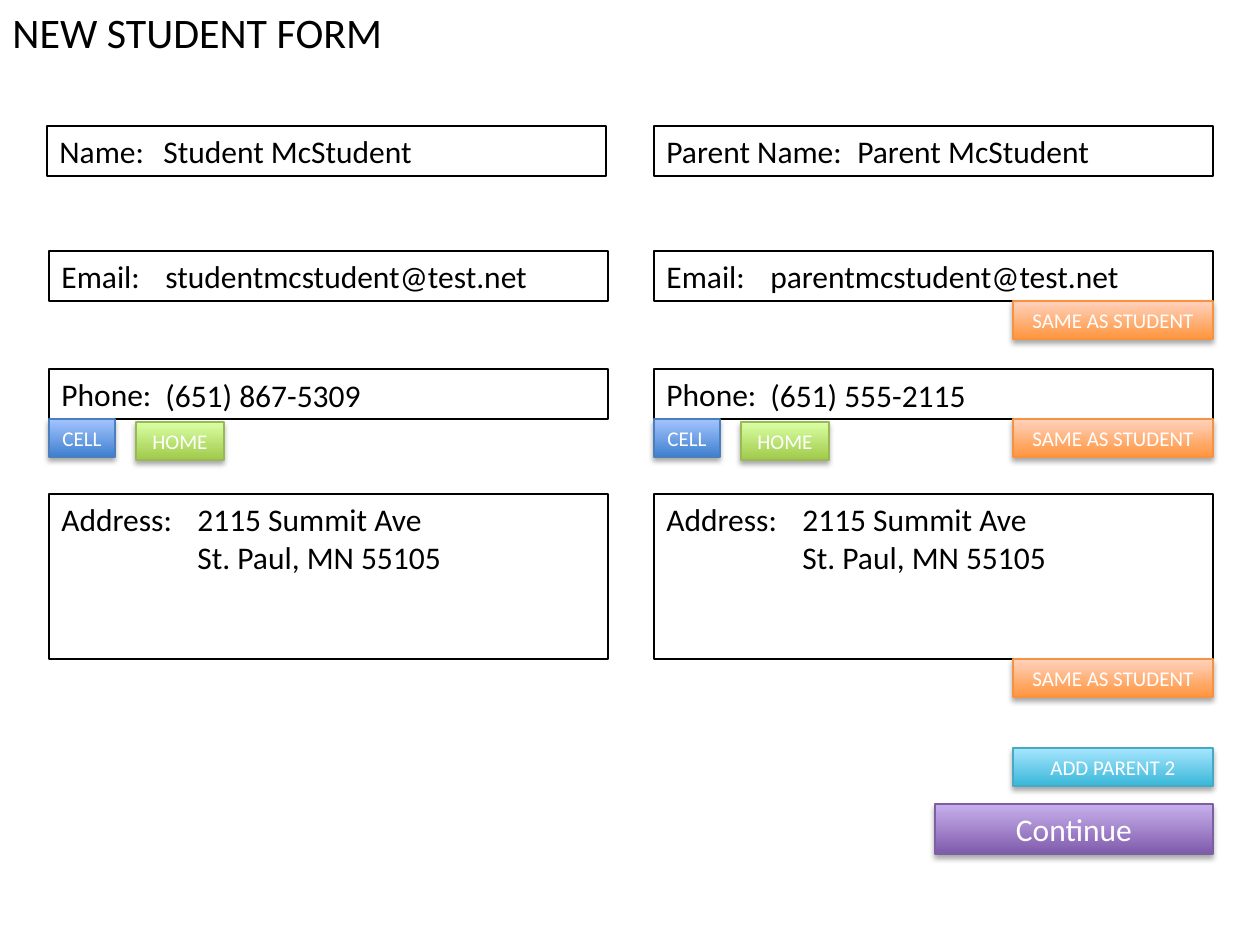
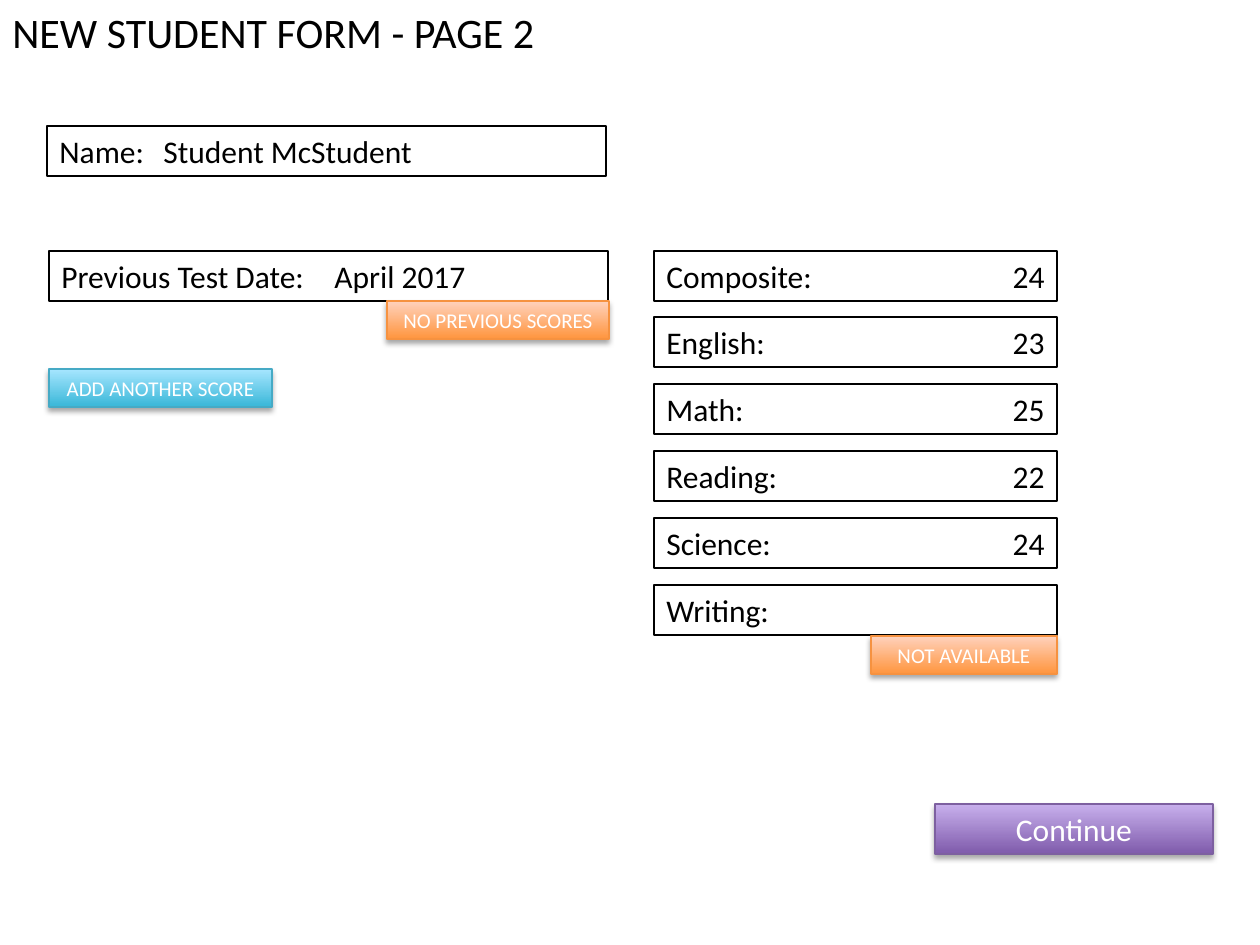
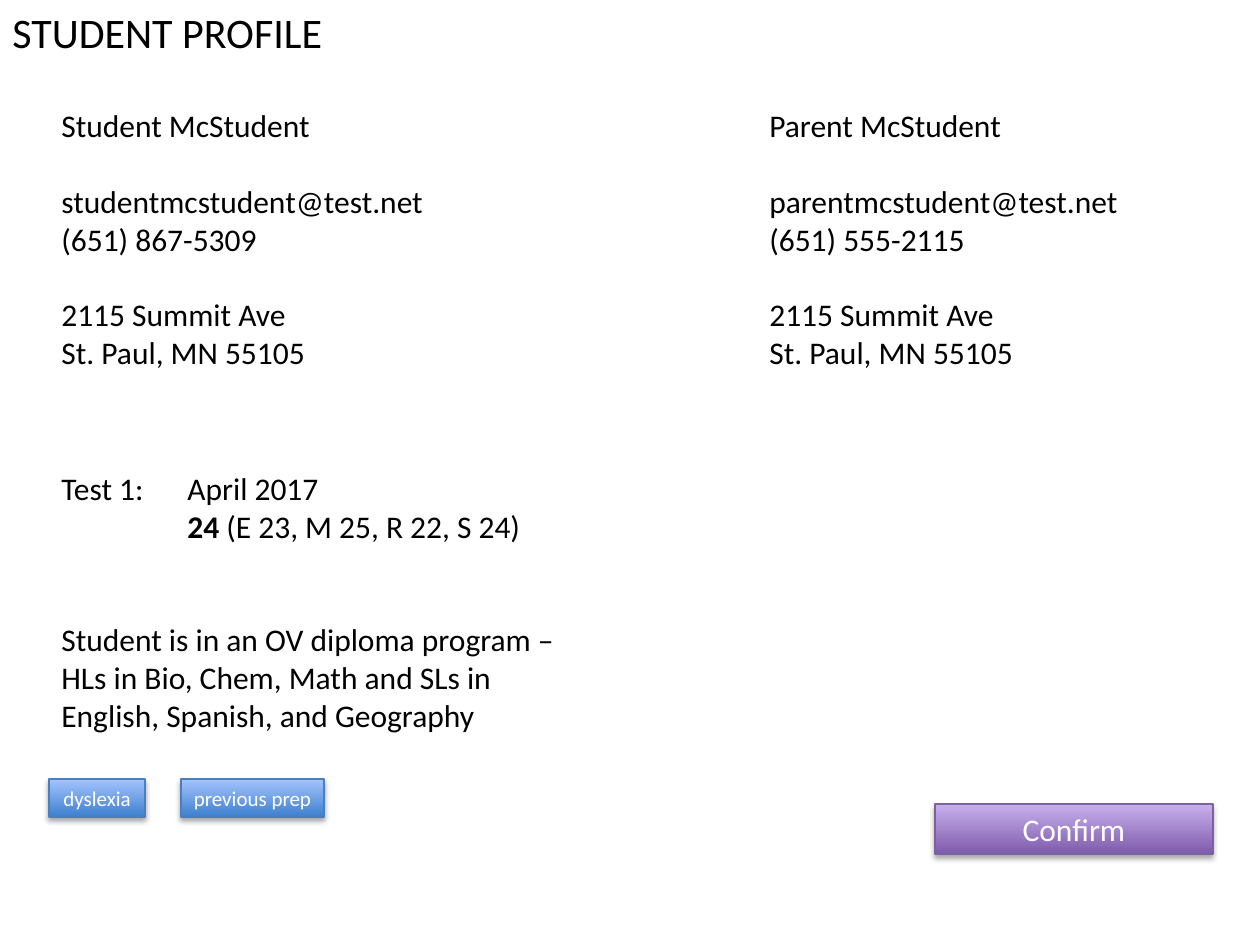
import pptx
import pptx.dml.color
import pptx.enum.shapes
import pptx.enum.text
import pptx.oxml
import pptx.oxml.ns
import pptx.util

RGBColor = pptx.dml.color.RGBColor
PP_ALIGN = pptx.enum.text.PP_ALIGN
RECTANGLE = pptx.enum.shapes.MSO_SHAPE.RECTANGLE

PX_PER_INCH = 126
FONT = "Calibri"
BLACK = RGBColor(0x00, 0x00, 0x00)
WHITE = RGBColor(0xFF, 0xFF, 0xFF)

BLUE = (RGBColor(0x3F, 0x80, 0xCE), RGBColor(0xA4, 0xC4, 0xFF), RGBColor(0x4B, 0x7E, 0xBC))
GREEN = (RGBColor(0xA0, 0xCA, 0x4A), RGBColor(0xDA, 0xFF, 0xA5), RGBColor(0x98, 0xB9, 0x55))
ORANGE = (RGBColor(0xFF, 0x95, 0x3E), RGBColor(0xFF, 0xD2, 0xBD), RGBColor(0xF6, 0x92, 0x40))
AQUA = (RGBColor(0x39, 0xB7, 0xD8), RGBColor(0xA7, 0xE6, 0xFF), RGBColor(0x46, 0xAA, 0xC5))
PURPLE = (RGBColor(0x7F, 0x5B, 0xAB), RGBColor(0xC8, 0xB0, 0xED), RGBColor(0x7D, 0x60, 0xA0))

STUDENT_X, PARENT_X = 49, 654
NAME_X, NAME_Y = 47, 126
EMAIL_Y, PHONE_Y, ADDRESS_Y = 251, 369, 494
FIELD_WIDTH, FIELD_HEIGHT, ADDRESS_HEIGHT = 559, 50, 165
VALUE_OFFSET = 104
BUTTON_HEIGHT = 38
RIGHT_EDGE = PARENT_X + FIELD_WIDTH

STUDENT = "Student McStudent"
PARENT = "Parent McStudent"
STUDENT_EMAIL = "studentmcstudent@test.net"
PARENT_EMAIL = "parentmcstudent@test.net"
STUDENT_PHONE = "(651) 867-5309"
PARENT_PHONE = "(651) 555-2115"
ADDRESS = "2115 Summit Ave\nSt. Paul, MN 55105"
TEST_DATE = "April 2017"
SCORES = [("Composite:", "24"), ("English:", "23"), ("Math:", "25"),
          ("Reading:", "22"), ("Science:", "24"), ("Writing:", "")]

SHADOW_XML = (
    f'<a:outerShdw {pptx.oxml.ns.nsdecls("a")} blurRad="39370" dist="22860" '
    'dir="5400000" rotWithShape="0"><a:srgbClr val="000000">'
    '<a:alpha val="35000"/></a:srgbClr></a:outerShdw>'
)


def px(length):
    return pptx.util.Emu(round(length * 914400 / PX_PER_INCH))


def box(x, y, width, height):
    return px(x), px(y), px(width), px(height)


def format_text(frame, size, color, align):
    frame.vertical_anchor = pptx.enum.text.MSO_ANCHOR.TOP
    for paragraph in frame.paragraphs:
        paragraph.alignment = align
        for run in paragraph.runs:
            run.font.name = FONT
            run.font.size = pptx.util.Pt(size)
            run.font.color.rgb = color


def add_text(slide, x, y, width, height, text, size=18, align=PP_ALIGN.LEFT):
    frame = slide.shapes.add_textbox(*box(x, y, width, height)).text_frame
    frame.word_wrap = True
    frame.text = text
    format_text(frame, size, BLACK, align)
    return frame


def add_rectangle(slide, x, y, width, height, line_color, text):
    rectangle = slide.shapes.add_shape(RECTANGLE, *box(x, y, width, height))
    rectangle.shadow.inherit = False
    rectangle.line.color.rgb = line_color
    rectangle.line.width = pptx.util.Pt(0.75)
    rectangle.text_frame.text = text
    return rectangle


def add_field(slide, x, y, label, value="", offset=VALUE_OFFSET, width=FIELD_WIDTH,
              height=FIELD_HEIGHT, value_drop=0, align=PP_ALIGN.LEFT):
    field = add_rectangle(slide, x, y, width, height, BLACK, label)
    field.fill.background()
    format_text(field.text_frame, 18, BLACK, PP_ALIGN.LEFT)
    if value:
        add_text(slide, x + offset, y + value_drop, width - offset, height, value, align=align)


def add_button(slide, x, y, width, text, palette, height=BUTTON_HEIGHT, size=12):
    bottom, top, outline = palette
    button = add_rectangle(slide, x, y, width, height, outline, text)
    button.fill.gradient()
    button.fill.gradient_angle = 90
    for stop, color in zip(button.fill.gradient_stops, (bottom, top)):
        stop.color.rgb = color
    effects = button._element.spPr.find(pptx.oxml.ns.qn("a:effectLst"))
    effects.append(pptx.oxml.parse_xml(SHADOW_XML))
    button.text_frame.word_wrap = False
    format_text(button.text_frame, size, WHITE, PP_ALIGN.CENTER)


def add_page(deck, title, title_width, next_step):
    slide = deck.slides.add_slide(deck.slide_layouts[6])
    add_text(slide, 0, 0, title_width, 63, title, size=24)
    add_button(slide, 935, 804, RIGHT_EDGE - 935, next_step, PURPLE, FIELD_HEIGHT, 18)
    return slide


def add_contact_fields(slide, x, email, phone):
    add_field(slide, x, EMAIL_Y, "Email:", email)
    add_field(slide, x, PHONE_Y, "Phone:", phone, value_drop=1)
    add_field(slide, x, ADDRESS_Y, "Address:", ADDRESS, 136, height=ADDRESS_HEIGHT)
    add_button(slide, x, PHONE_Y + FIELD_HEIGHT, 66, "CELL", BLUE)
    add_button(slide, x + 87, PHONE_Y + 53, 88, "HOME", GREEN)


def add_contact_summary(slide, x, name, email, phone):
    lines = f"{name}\n{email}\n{phone}\n{ADDRESS}"
    summary = add_text(slide, x, 100, 456, 280, lines)
    for group_start in (1, 3):
        summary.paragraphs[group_start].space_before = pptx.util.Pt(21.6)


def add_test_result(slide, x, y):
    result = add_text(slide, x, y, 641, 89, f"Test 1:\t{TEST_DATE}\n")
    date_line, score_line = result.paragraphs
    for text in ("24", " (E 23, M 25, R 22, S 24)"):
        score_line.add_run().text = text
    format_text(result, 18, BLACK, PP_ALIGN.LEFT)
    score_line.runs[0].font.bold = True
    for line, first_indent in ((date_line, -126), (score_line, 0)):
        properties = line._p.get_or_add_pPr()
        properties.set("marL", str(px(126)))
        properties.set("indent", str(px(first_indent)))


def build_contact_form(deck):
    slide = add_page(deck, "NEW STUDENT FORM", 421, "Continue")
    add_field(slide, NAME_X, NAME_Y, "Name:", STUDENT)
    add_field(slide, PARENT_X, NAME_Y, "Parent Name:", PARENT, 191)
    add_contact_fields(slide, STUDENT_X, STUDENT_EMAIL, STUDENT_PHONE)
    add_contact_fields(slide, PARENT_X, PARENT_EMAIL, PARENT_PHONE)
    side_width = 200
    side_x = RIGHT_EDGE - side_width
    for field_bottom in (EMAIL_Y + FIELD_HEIGHT, PHONE_Y + FIELD_HEIGHT,
                         ADDRESS_Y + ADDRESS_HEIGHT):
        add_button(slide, side_x, field_bottom, side_width, "SAME AS STUDENT", ORANGE)
    add_button(slide, side_x, 748, side_width, "ADD PARENT 2", AQUA)


def build_score_form(deck):
    slide = add_page(deck, "NEW STUDENT FORM - PAGE 2", 557, "Continue")
    add_field(slide, NAME_X, NAME_Y, "Name:", STUDENT)
    add_field(slide, STUDENT_X, EMAIL_Y, "Previous Test Date:", TEST_DATE, 273)
    add_button(slide, 387, EMAIL_Y + FIELD_HEIGHT, 222, "NO PREVIOUS SCORES", ORANGE)
    add_button(slide, STUDENT_X, PHONE_Y, 223, "ADD ANOTHER SCORE", AQUA)
    score_width, score_span = 403, 334
    for row, (subject, score) in enumerate(SCORES):
        y = EMAIL_Y + score_span * row // (len(SCORES) - 1)
        add_field(slide, PARENT_X, y, subject, score, 204, score_width, align=PP_ALIGN.RIGHT)
    add_button(slide, PARENT_X + score_width - 186, EMAIL_Y + score_span + FIELD_HEIGHT + 1,
               186, "NOT AVAILABLE", ORANGE)


def build_profile(deck):
    slide = add_page(deck, "STUDENT PROFILE", 570, "Confirm")
    add_contact_summary(slide, STUDENT_X, STUDENT, STUDENT_EMAIL, STUDENT_PHONE)
    add_contact_summary(slide, 757, PARENT, PARENT_EMAIL, PARENT_PHONE)
    add_test_result(slide, STUDENT_X, 463)
    add_text(slide, STUDENT_X, 614, 554, 165,
             "Student is in an OV diploma program – HLs in Bio, Chem, Math and SLs in "
             "English, Spanish, and Geography")
    add_button(slide, STUDENT_X, 779, 96, "dyslexia", BLUE)
    add_button(slide, 181, 779, 143, "previous prep", BLUE)


def main():
    deck = pptx.Presentation()
    deck.slide_width = px(10 * PX_PER_INCH)
    deck.slide_height = px(945)
    build_contact_form(deck)
    build_score_form(deck)
    build_profile(deck)
    deck.save("out.pptx")


if __name__ == "__main__":
    main()
